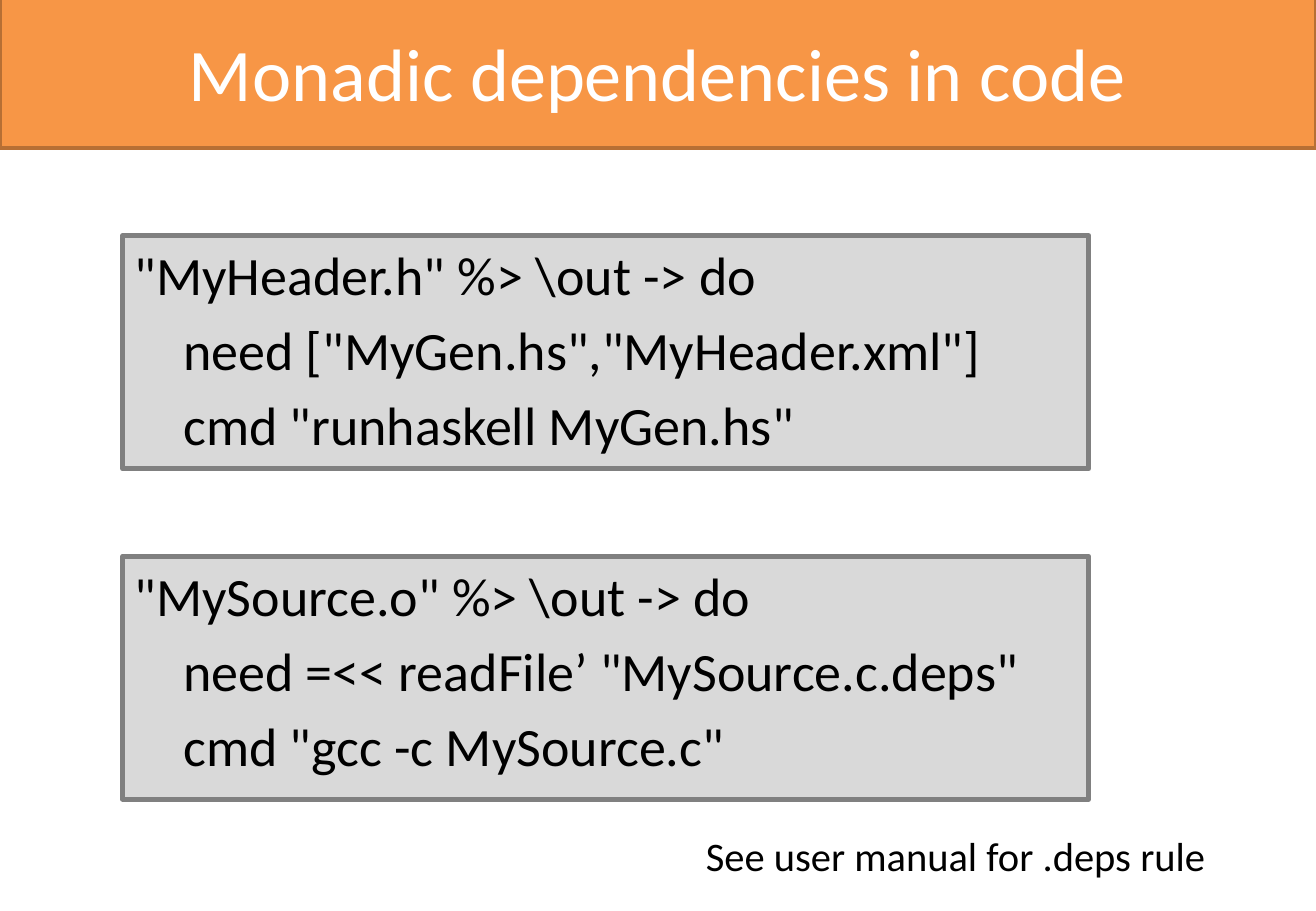
from dataclasses import dataclass

from pptx import Presentation
from pptx import util as u
from pptx.dml.color import RGBColor
from pptx.enum import shapes, text

EMU_PER_PX = 9144  # 100 px to the inch
TITLE_ONLY = 5


@dataclass(frozen=True)
class Theme:
    font: str = "Calibri"
    banner_fill: str = "F79646"
    banner_line: str = "B76F34"
    banner_text: str = "FFFFFF"
    code_fill: str = "D9D9D9"
    code_line: str = "808080"
    ink: str = "000000"
    title_size: int = 44
    code_size: int = 32
    note_size: int = 24


@dataclass(frozen=True)
class Box:
    left: int
    top: int
    width: int
    height: int

    def emu(self) -> list[int]:
        return [px(side) for side in (self.left, self.top, self.width, self.height)]


@dataclass(frozen=True)
class CodeBlock:
    box: Box
    rule: str
    actions: tuple[str, ...]


THEME = Theme()
PAGE_WIDTH, PAGE_HEIGHT = 1083, 750
ACTION_INDENT = 40
BANNER = Box(0, -3, PAGE_WIDTH, 125)
NOTE = Box(571, 679, 435, 50)
CODE_BLOCKS = (
    CodeBlock(
        Box(101, 194, 795, 192),
        '"MyHeader.h" %> \\out -> do',
        ('need ["MyGen.hs","MyHeader.xml"]', 'cmd "runhaskell MyGen.hs"'),
    ),
    CodeBlock(
        Box(101, 458, 795, 200),
        '"MySource.o" %> \\out -> do',
        ('need =<< readFile’ "MySource.c.deps"', 'cmd "gcc -c MySource.c"'),
    ),
)


def px(length: int) -> int:
    return length * EMU_PER_PX


def write(para, words: str, *, size: int, color: str = THEME.ink,
          align=text.PP_ALIGN.LEFT, indent: int = 0, before: int = 0) -> None:
    para.alignment = align
    para.space_before = u.Pt(before)
    properties = para._p.get_or_add_pPr()
    properties.set("marL", str(px(indent)))
    properties.set("indent", "0")
    span = para.add_run()
    span.text = words
    span.font.name = THEME.font
    span.font.size = u.Pt(size)
    span.font.color.rgb = RGBColor.from_string(color)


def paint(shape, *, fill: str, line: str, weight: int) -> None:
    shape.fill.solid()
    shape.fill.fore_color.rgb = RGBColor.from_string(fill)
    shape.line.color.rgb = RGBColor.from_string(line)
    shape.line.width = u.Pt(weight)


def draw_title(page, words: str) -> None:
    title = page.shapes.title
    title.left, title.top, title.width, title.height = BANNER.emu()
    paint(title, fill=THEME.banner_fill, line=THEME.banner_line, weight=2)
    frame = title.text_frame
    frame.auto_size = text.MSO_AUTO_SIZE.NONE
    frame.vertical_anchor = text.MSO_ANCHOR.MIDDLE
    write(frame.paragraphs[0], words, size=THEME.title_size,
          color=THEME.banner_text, align=text.PP_ALIGN.CENTER)


def draw_code(page, block: CodeBlock) -> None:
    panel = page.shapes.add_shape(shapes.MSO_SHAPE.RECTANGLE, *block.box.emu())
    panel.shadow.inherit = False
    paint(panel, fill=THEME.code_fill, line=THEME.code_line, weight=3)
    frame = panel.text_frame
    frame.word_wrap = True
    frame.vertical_anchor = text.MSO_ANCHOR.TOP
    write(frame.paragraphs[0], block.rule, size=THEME.code_size, before=6)
    for action in block.actions:
        write(frame.add_paragraph(), action, size=THEME.code_size,
              indent=ACTION_INDENT, before=6)


def draw_note(page, words: str) -> None:
    frame = page.shapes.add_textbox(*NOTE.emu()).text_frame
    frame.word_wrap = False
    frame.auto_size = text.MSO_AUTO_SIZE.SHAPE_TO_FIT_TEXT
    write(frame.paragraphs[0], words, size=THEME.note_size)


def main() -> None:
    deck = Presentation()
    deck.slide_width, deck.slide_height = px(PAGE_WIDTH), px(PAGE_HEIGHT)
    page = deck.slides.add_slide(deck.slide_layouts[TITLE_ONLY])
    draw_title(page, "Monadic dependencies in code")
    for block in CODE_BLOCKS:
        draw_code(page, block)
    draw_note(page, "See user manual for .deps rule")
    deck.save("out.pptx")


if __name__ == "__main__":
    main()
